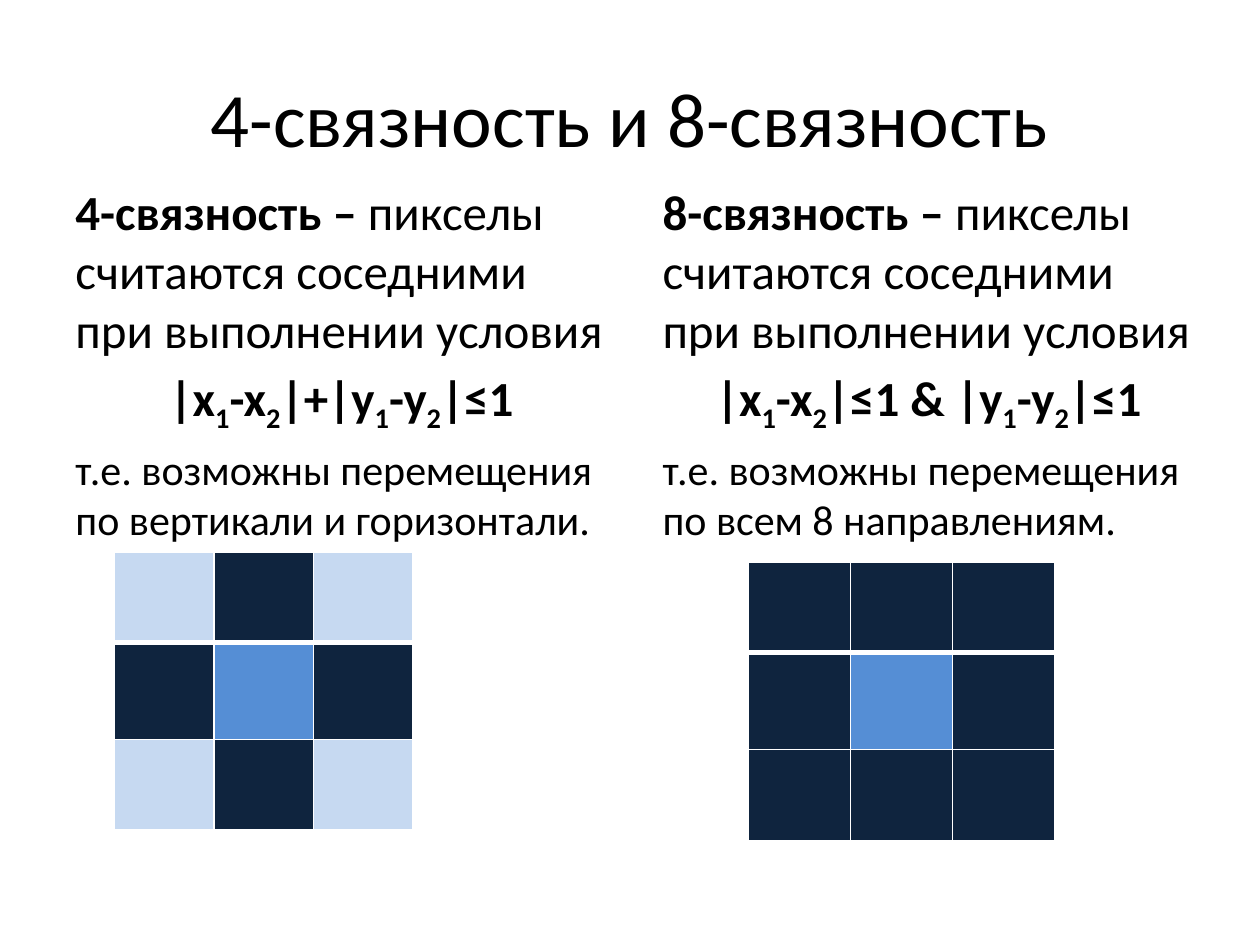
from lxml import etree
from pptx import Presentation
from pptx.dml.color import RGBColor
from pptx.enum.text import MSO_ANCHOR as Anchor, PP_ALIGN as Align
from pptx.oxml.ns import qn
from pptx.util import Inches, Pt

COLORS = {"text": "000000", "border": "FFFFFF",
          "far": "C6D9F1", "neighbour": "0F243E", "center": "558ED5"}
FONT = "Calibri"
CELL_KINDS = {".": "far", "#": "neighbour", "o": "center"}
ROW_HEIGHTS = (0.72, 0.77, 0.72)

TITLE = "4-связность и 8-связность"
CONDITION = "пикселы считаются соседними при выполнении условия"
COLUMNS = [
    {"left": 0.5, "term": "4-связность – ",
     "formula": "|x_1-x_2|+|y_1-y_2|≤1",
     "moves": "т.е. возможны перемещения по вертикали и горизонтали.",
     "grid": (".#.", "#o#", ".#."), "grid_at": (0.91, 4.38), "cell_width": 0.79},
    {"left": 5.16, "term": "8-связность – ",
     "formula": "|x_1-x_2|≤1 & |y_1-y_2|≤1",
     "moves": "т.е. возможны перемещения по всем 8 направлениям.",
     "grid": ("###", "#o#", "###"), "grid_at": (5.94, 4.46), "cell_width": 0.81},
]


def add_frame(slide, left, top, width, height):
    frame = slide.shapes.add_textbox(*map(Inches, (left, top, width, height))).text_frame
    frame.word_wrap = True
    return frame


def style(paragraph, size, align=Align.LEFT, before=0.0):
    paragraph.alignment = align
    paragraph.space_before = Pt(before)
    paragraph.font.size = Pt(size)
    paragraph.font.name = FONT
    paragraph.font.color.rgb = RGBColor.from_string(COLORS["text"])


def add_run(paragraph, text, bold=False, subscript=False):
    run = paragraph.add_run()
    run.text = text
    run.font.bold = bold
    if subscript:
        run._r.get_or_add_rPr().set("baseline", "-25000")


def add_formula(paragraph, formula):
    first, *rest = formula.split("_")
    add_run(paragraph, first, bold=True)
    for part in rest:
        add_run(paragraph, part[0], bold=True, subscript=True)
        add_run(paragraph, part[1:], bold=True)


def add_definition(slide, column):
    frame = add_frame(slide, column["left"], 1.39, 4.42, 5.59)
    definition = frame.paragraphs[0]
    formula, moves = frame.add_paragraph(), frame.add_paragraph()
    style(definition, 28, before=5.6)
    add_run(definition, column["term"], bold=True)
    add_run(definition, CONDITION)
    style(formula, 28, Align.CENTER, 5.6)
    add_formula(formula, column["formula"])
    style(moves, 24, before=4.8)
    add_run(moves, column["moves"])


def set_borders(cell, **widths):
    properties = cell._tc.get_or_add_tcPr()
    for position, side in enumerate("LRTB"):
        line = etree.Element(qn(f"a:ln{side}"), w=str(Pt(widths.get(side, 1))))
        fill = etree.SubElement(line, qn("a:solidFill"))
        etree.SubElement(fill, qn("a:srgbClr"), val=COLORS["border"])
        properties.insert(position, line)


def add_pixel_grid(slide, column):
    left, top = column["grid_at"]
    rows = column["grid"]
    table = slide.shapes.add_table(
        len(rows), len(rows[0]), Inches(left), Inches(top),
        Inches(column["cell_width"] * len(rows[0])), Inches(sum(ROW_HEIGHTS))).table
    for table_column in table.columns:
        table_column.width = Inches(column["cell_width"])
    for r, (pixels, height) in enumerate(zip(rows, ROW_HEIGHTS)):
        table.rows[r].height = Inches(height)
        for c, pixel in enumerate(pixels):
            cell = table.cell(r, c)
            cell.fill.solid()
            cell.fill.fore_color.rgb = RGBColor.from_string(COLORS[CELL_KINDS[pixel]])
            set_borders(cell, T=3 if r == 1 else 1, B=3 if r == 0 else 1)


deck = Presentation()
deck.slide_width, deck.slide_height = Inches(10), Inches(7.5)
slide = deck.slides.add_slide(deck.slide_layouts[6])

title_frame = add_frame(slide, 0.5, 0.3, 9, 1.25)
title_frame.vertical_anchor = Anchor.MIDDLE
style(title_frame.paragraphs[0], 44, Align.CENTER)
add_run(title_frame.paragraphs[0], TITLE)

for column in COLUMNS:
    add_definition(slide, column)
    add_pixel_grid(slide, column)

deck.save("out.pptx")
